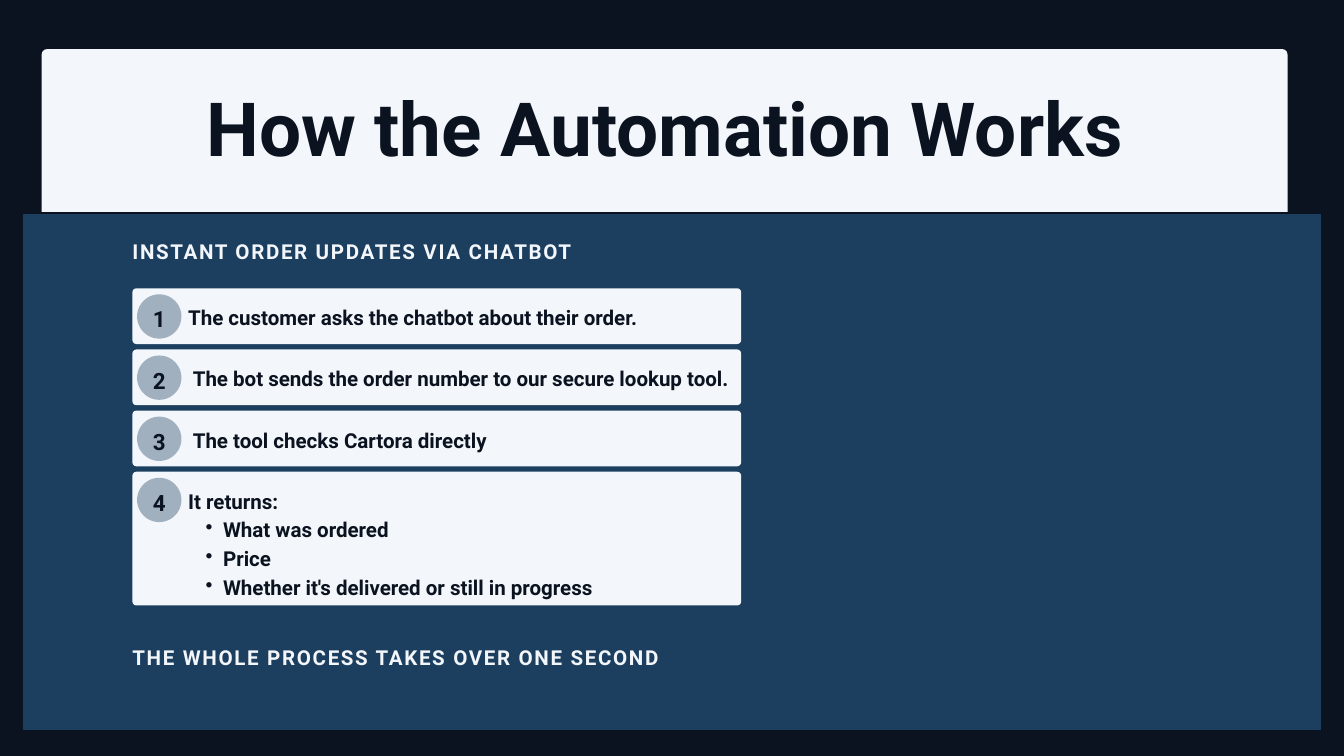
import pptx
import pptx.util
import pptx.dml.color
import pptx.enum.shapes
import pptx.enum.text
import pptx.oxml
import pptx.oxml.ns
import lxml.etree

TITLE = "How the Automation Works"
HEAD = "INSTANT ORDER UPDATES VIA CHATBOT"
FOOT = "THE WHOLE PROCESS TAKES OVER ONE SECOND"
STEPS = [
    {"text": "The customer asks the chatbot about their order."},
    {"text": "The bot sends the order number to our secure lookup tool.", "shift": 0.07},
    {"text": "The tool checks Cartora directly", "shift": 0.07},
    {"text": "It returns:", "high": 1.99, "items": [
        "What was ordered",
        "Price",
        "Whether it's delivered or still in progress",
    ]},
]
COLORS = {"dark": "0B1320", "light": "F3F6FA", "blue": "1C3F60"}
FONT = "Roboto"
LEFT, TOP, WIDE, HIGH, PITCH = 1.97, 4.29, 9.06, 0.83, 0.91
KIND = pptx.enum.shapes.MSO_SHAPE
ALIGN = pptx.enum.text.PP_ALIGN
Inches = pptx.util.Inches
Pt = pptx.util.Pt


def color(name):
    return pptx.dml.color.RGBColor.from_string(COLORS[name])


def add_form(slide, kind, box, fill, round_by=None, alpha=None):
    form = slide.shapes.add_shape(kind, *map(Inches, box))
    form.shadow.inherit = False
    form.fill.solid()
    form.fill.fore_color.rgb = color(fill)
    form.line.fill.background()
    if round_by:
        form.adjustments[0] = round_by / min(box[2:])
    if alpha:
        tone = form.fill._xPr.find(".//" + pptx.oxml.ns.qn("a:srgbClr"))
        lxml.etree.SubElement(tone, pptx.oxml.ns.qn("a:alpha"), val=str(alpha * 1000))
    return form


def add_text(slide, text, box, size=22, ink="dark", lead=30.8, align=ALIGN.LEFT,
             space=0, items=()):
    frame = slide.shapes.add_textbox(*map(Inches, box)).text_frame
    frame.word_wrap = True
    frame.margin_left = frame.margin_right = frame.margin_top = frame.margin_bottom = 0
    for i, line in enumerate([text, *items]):
        para = frame.add_paragraph() if i else frame.paragraphs[0]
        para.alignment = align
        para.line_spacing = Pt(lead)
        run = para.add_run()
        run.text = line
        run.font.name = FONT
        run.font.size = Pt(size)
        run.font.bold = True
        run.font.color.rgb = color(ink)
        if space:
            run._r.get_or_add_rPr().set("spc", str(round(space * 100)))
        if i:
            para.level = 1
            props = para._p.get_or_add_pPr()
            props.set("marL", str(Inches(0.52)))
            props.set("indent", str(Inches(-0.26)))
            lxml.etree.SubElement(props, pptx.oxml.ns.qn("a:buChar"), char="•")


def add_step(slide, num, step):
    top = TOP + (num - 1) * PITCH
    high = step.get("high", HIGH)
    shift = step.get("shift", 0)
    items = step.get("items", [])
    add_form(slide, KIND.ROUNDED_RECTANGLE, (LEFT, top, WIDE, high), "light", 0.06)
    add_text(slide, step["text"],
             (LEFT + 0.83 + shift, top + 0.19, 8.2, 0.42 * (1 + len(items))), items=items)
    add_form(slide, KIND.OVAL, (LEFT + 0.07, top + 0.09, 0.66, 0.66), "blue", alpha=38)
    add_text(slide, str(num), (LEFT + 0.19, top + 0.19, 0.42, 0.43), size=24,
             lead=33.6, align=ALIGN.CENTER, space=1.9)


def main():
    deck = pptx.Presentation()
    deck.slide_width, deck.slide_height = Inches(20), Inches(11.25)
    slide = deck.slides.add_slide(deck.slide_layouts[6])
    slide.background.fill.solid()
    slide.background.fill.fore_color.rgb = color("dark")

    add_form(slide, KIND.ROUNDED_RECTANGLE, (0.62, 0.73, 18.54, 9.79), "light", 0.08)
    panel = add_form(slide, KIND.RECTANGLE, (0.33, 3.17, 19.34, 7.71), "blue")
    panel.line.color.rgb = color("dark")
    panel.line.width = Pt(1.5)

    add_text(slide, TITLE, (2.63, 1.22, 14.53, 1.34), size=80, lead=96, align=ALIGN.CENTER)
    add_text(slide, HEAD, (LEFT, 3.56, 14.16, 0.38), ink="light", lead=26.4, space=1.8)
    add_text(slide, FOOT, (LEFT, 9.53, 8.2, 0.42), ink="light", space=1.8)
    for num, step in enumerate(STEPS, 1):
        add_step(slide, num, step)
    deck.save("out.pptx")


if __name__ == "__main__":
    main()
